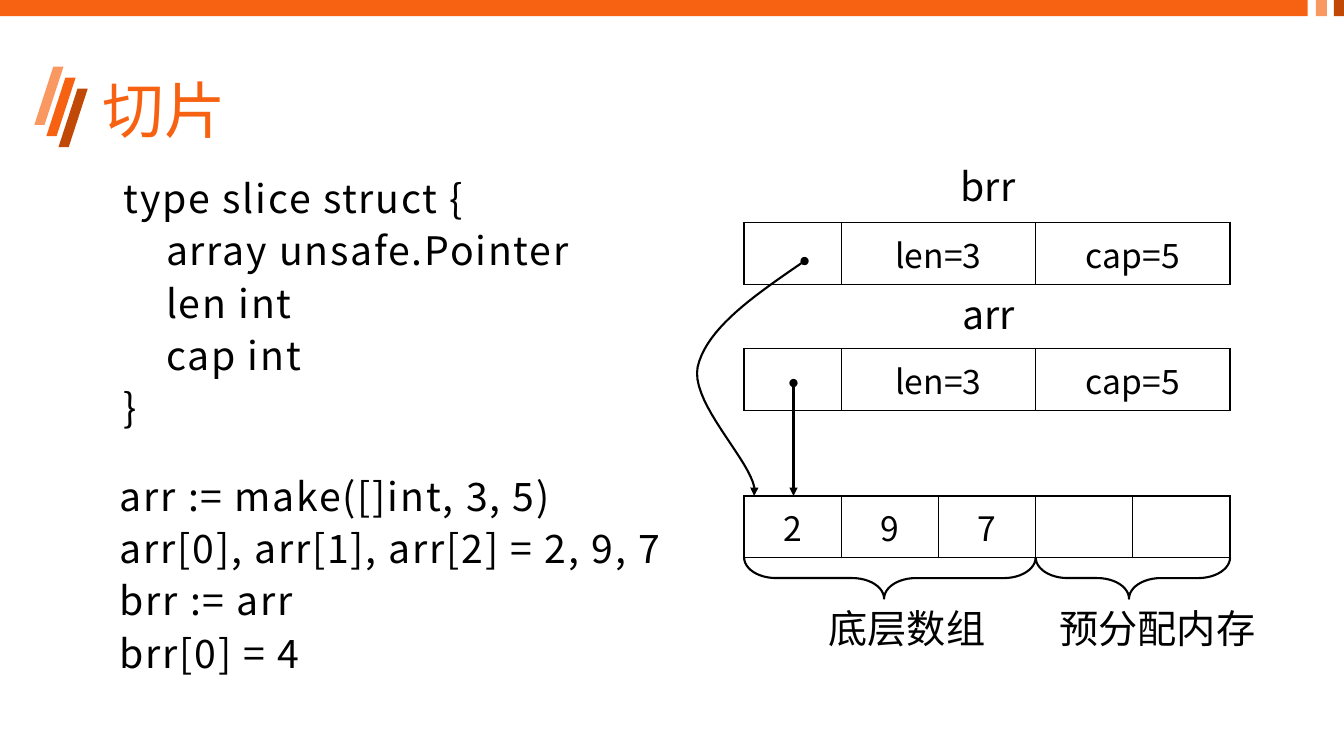
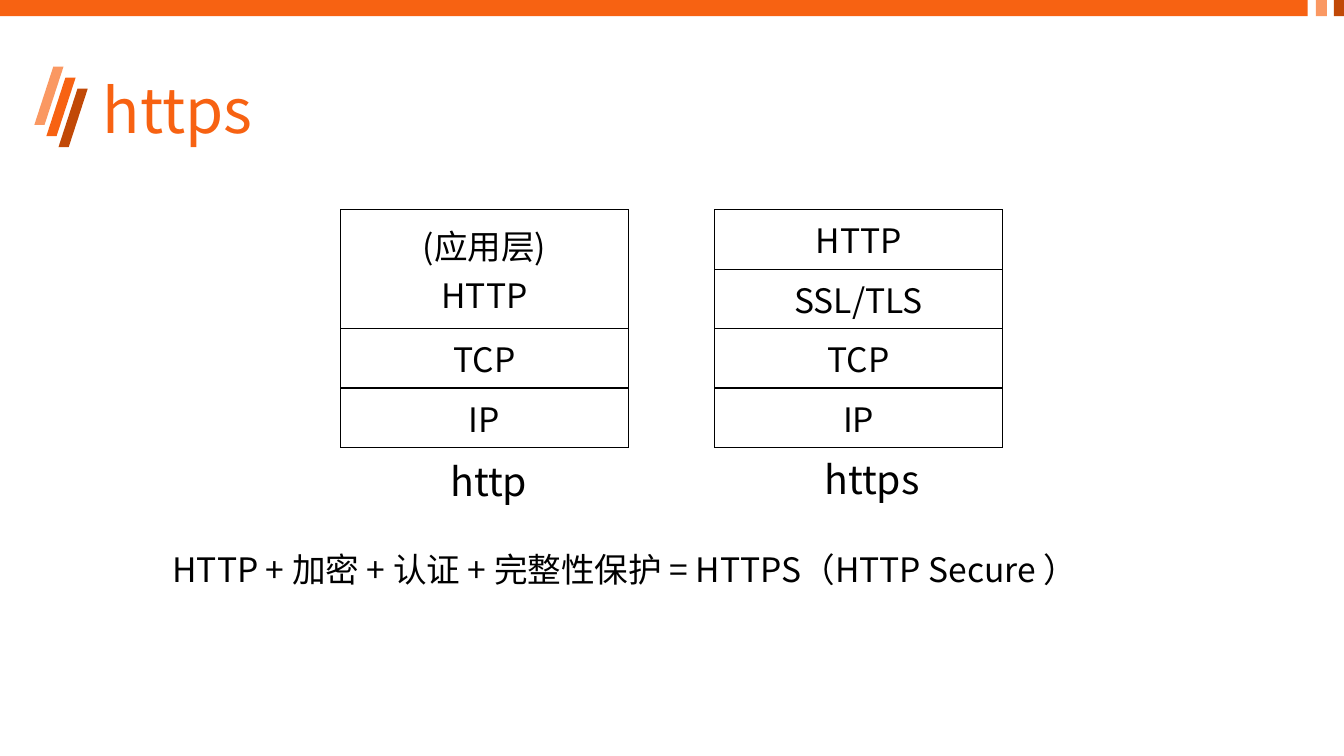
from dataclasses import dataclass

from lxml.etree import SubElement
from pptx import Presentation
from pptx.dml.color import RGBColor
from pptx.enum.shapes import MSO_CONNECTOR, MSO_SHAPE
from pptx.enum.text import MSO_ANCHOR, MSO_AUTO_SIZE, PP_ALIGN
from pptx.oxml import parse_xml
from pptx.oxml.ns import nsdecls, qn
from pptx.util import Emu, Pt

SCALE = 9144  # EMU in one px, 100 px to the inch


@dataclass(frozen=True)
class Theme:
    font: str = "Noto Sans CJK SC"
    main: str = "F76212"
    light: str = "FA9862"
    dark: str = "C14907"
    ink: str = "000000"
    title: int = 44
    label: int = 28
    cell: int = 24
    tight: float = 0.9
    loose: float = 1.1
    gap: int = 7
    track: int = 130
    line: float = 1.5
    border: int = 1


def px(*sizes):
    return [Emu(round(size * SCALE)) for size in sizes]


def tint(color):
    return RGBColor.from_string(color)


class Deck:
    def __init__(self, theme):
        self.theme = theme
        self.file = Presentation()
        self.file.slide_width, self.file.slide_height = px(1333, 750)
        self.slide = None

    def page(self, title, layout):
        first = self.slide is None
        self.slide = self.file.slides.add_slide(self.file.slide_layouts[layout])
        if first:
            self.frame()
        self.holder(0, title, (92, 40, 1150, 145), self.theme.title,
                    self.theme.main, self.theme.tight, MSO_ANCHOR.MIDDLE)

    def frame(self):
        """Move the top band and the title mark to the slide master."""
        look = self.theme
        parts = [
            (MSO_SHAPE.RECTANGLE, (0, 0, 1297, 16), look.main),
            (MSO_SHAPE.RECTANGLE, (1305, 0, 11, 16), look.light),
            (MSO_SHAPE.RECTANGLE, (1323, 0, 11, 16), look.dark),
        ]
        for step, color in enumerate((look.light, look.main, look.dark)):
            box = (34 + 12 * step, 66 + 11 * step, 29, 58)
            parts.append((MSO_SHAPE.PARALLELOGRAM, box, color))
        tree = self.file.slide_master.shapes.element
        for kind, box, color in parts:
            shape = self.slide.shapes.add_shape(kind, *px(*box))
            shape.shadow.inherit = False
            shape.fill.solid()
            shape.fill.fore_color.rgb = tint(color)
            shape.line.fill.background()
            if kind == MSO_SHAPE.PARALLELOGRAM:
                shape.adjustments[0] = 0.65
            tree.append(shape.element)

    def style(self, frame, size, color=None, track=0):
        for para in frame.paragraphs:
            for run in para.runs:
                run.font.name = self.theme.font
                run.font.size = Pt(size)
                run.font.color.rgb = tint(color or self.theme.ink)
                props = run.font._element
                SubElement(props, qn("a:ea")).set("typeface", self.theme.font)
                if track:
                    props.set("spc", str(track))

    def holder(self, index, text, box, size, color, space, anchor):
        """Fill a placeholder with one plain paragraph, without bullet."""
        shape = self.slide.placeholders[index]
        shape.left, shape.top, shape.width, shape.height = px(*box)
        frame = shape.text_frame
        frame.text = text
        frame.word_wrap = True
        frame.auto_size = MSO_AUTO_SIZE.NONE
        frame.vertical_anchor = anchor
        para = frame.paragraphs[0]
        para.alignment = PP_ALIGN.LEFT
        para.line_spacing = space
        para.space_before = Pt(0)
        props = para._p.get_or_add_pPr()
        props.set("marL", "0")
        props.set("indent", "0")
        SubElement(props, qn("a:buNone"))
        self.style(frame, size, color)

    def body(self, text, box):
        self.holder(1, text, box, self.theme.cell, self.theme.ink,
                    self.theme.loose, MSO_ANCHOR.TOP)

    def text(self, text, box, track=0, wrap=False, anchor=MSO_ANCHOR.TOP):
        frame = self.slide.shapes.add_textbox(*px(*box)).text_frame
        frame.text = text
        frame.word_wrap = wrap
        frame.auto_size = (MSO_AUTO_SIZE.NONE if wrap
                           else MSO_AUTO_SIZE.SHAPE_TO_FIT_TEXT)
        frame.vertical_anchor = anchor
        for place, para in enumerate(frame.paragraphs):
            para.line_spacing = self.theme.tight
            para.space_before = Pt(self.theme.gap if place else 0)
        self.style(frame, self.theme.label, track=track)

    def code(self, text, box, **opts):
        self.text(text, box, track=self.theme.track, **opts)

    def grid(self, rows, spot, cols, highs):
        box = (*spot, sum(cols), sum(highs))
        table = self.slide.shapes.add_table(
            len(rows), len(cols), *px(*box)).table
        table.first_row = table.horz_banding = False
        for col, wide in zip(table.columns, px(*cols)):
            col.width = wide
        for row, high, texts in zip(table.rows, px(*highs), rows):
            row.height = high
            for cell, text in zip(row.cells, texts):
                self.cell(cell, text)

    def cell(self, cell, text):
        cell.text = text
        cell.vertical_anchor = MSO_ANCHOR.MIDDLE
        cell.fill.background()
        for para in cell.text_frame.paragraphs:
            para.alignment = PP_ALIGN.CENTER
        self.style(cell.text_frame, self.theme.cell)
        props = cell._tc.get_or_add_tcPr()
        for place, side in enumerate("LRTB"):
            props.insert(place, parse_xml(
                f'<a:ln{side} {nsdecls("a")} w="{Pt(self.theme.border)}">'
                f'<a:solidFill><a:srgbClr val="{self.theme.ink}"/>'
                f'</a:solidFill></a:ln{side}>'))

    def stroke(self, shape, ends=False):
        shape.line.color.rgb = tint(self.theme.ink)
        shape.line.width = Pt(self.theme.line)
        if ends:
            line = shape.element.spPr.get_or_add_ln()
            SubElement(line, qn("a:headEnd")).set("type", "oval")
            SubElement(line, qn("a:tailEnd")).set("type", "triangle")

    def arrow(self, start, end):
        shape = self.slide.shapes.add_connector(
            MSO_CONNECTOR.STRAIGHT, *px(*start, *end))
        self.stroke(shape, ends=True)
        SubElement(shape.element.spPr, qn("a:effectLst"))

    def curve(self, start, *parts, steps=20):
        """Draw an arrow along cubic curves, each two handles and an end."""
        dots = [px(*start)]
        for one, two, end in parts:
            for step in range(1, steps + 1):
                t = step / steps
                u = 1 - t
                dots.append(px(*(
                    u**3 * a + 3 * u * u * t * b + 3 * u * t * t * c + t**3 * d
                    for a, b, c, d in zip(start, one, two, end))))
            start = end
        path = self.slide.shapes.build_freeform(*dots[0], scale=1.0)
        path.add_line_segments(dots[1:], close=False)
        shape = path.convert_to_shape()
        shape.shadow.inherit = False
        shape.fill.background()
        self.stroke(shape, ends=True)

    def brace(self, left, top, wide, high):
        """Draw a brace that opens upward; the box is as seen once turned."""
        shift = (wide - high) / 2
        shape = self.slide.shapes.add_shape(
            MSO_SHAPE.RIGHT_BRACE,
            *px(left + shift, top - shift, high, wide))
        shape.rotation = 90
        shape.adjustments[0] = 0.77
        shape.adjustments[1] = 0.52
        shape.shadow.inherit = False
        shape.fill.background()
        self.stroke(shape)


def slices(deck):
    deck.page("切片", layout=5)
    deck.code("type slice struct {\n"
              "    array unsafe.Pointer\n"
              "    len int\n"
              "    cap int\n"
              "}", (113, 133, 495, 340), wrap=True, anchor=MSO_ANCHOR.MIDDLE)
    deck.code("arr := make([]int, 3, 5)\n"
              "arr[0], arr[1], arr[2] = 2, 9, 7\n"
              "brr := arr\n"
              "brr[0] = 4", (109, 469, 557, 241))

    left, unit, high = 738, 96.4, 61
    for top in (221, 346):
        deck.grid([["", "len=3", "cap=5"]], (left, top),
                  [unit, 2 * unit, 2 * unit], [high])
    deck.grid([["2", "9", "7", "", ""]], (left, 492), [unit] * 5, [high])
    deck.brace(left, 553, 3 * unit, 41)
    deck.brace(left + 3 * unit, 553, 2 * unit, 41)

    for name, box in (("brr", (943, 161, 74, 57)),
                      ("arr", (945, 288, 72, 57)),
                      ("底层数组", (812, 600, 177, 57)),
                      ("预分配内存", (1041, 600, 217, 57))):
        deck.text(name, box)
    deck.arrow((787, 380), (787, 492))
    deck.curve((798, 259),
               ((750, 292), (701, 325), (692, 364)),
               ((684, 403), (756, 467), (748, 492)))


def secure(deck):
    deck.page("https", layout=1)
    deck.body("HTTP + 加密 + 认证 + 完整性保护 = HTTPS（HTTP Secure ）",
              (161, 536, 1011, 130))
    top, wide, high = 208, 285, 59
    deck.grid([["(应用层)\nHTTP"], ["TCP"], ["IP"]], (338, top),
              [wide], [2 * high, high, high])
    deck.grid([["HTTP"], ["SSL/TLS"], ["TCP"], ["IP"]], (709, top),
              [wide], [high] * 4)
    deck.text("http", (437, 454, 98, 57))
    deck.text("https", (808, 452, 116, 57))


def main():
    deck = Deck(Theme())
    slices(deck)
    secure(deck)
    deck.file.save("out.pptx")


if __name__ == "__main__":
    main()
